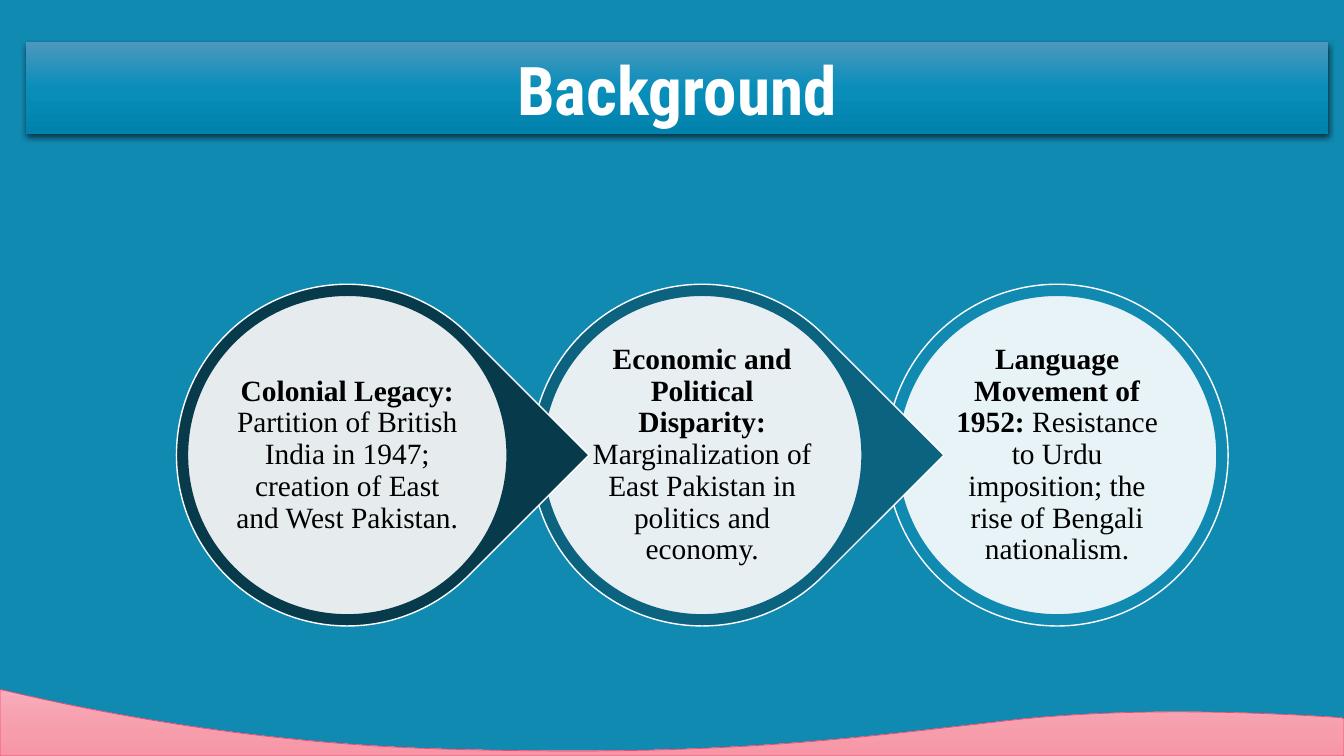
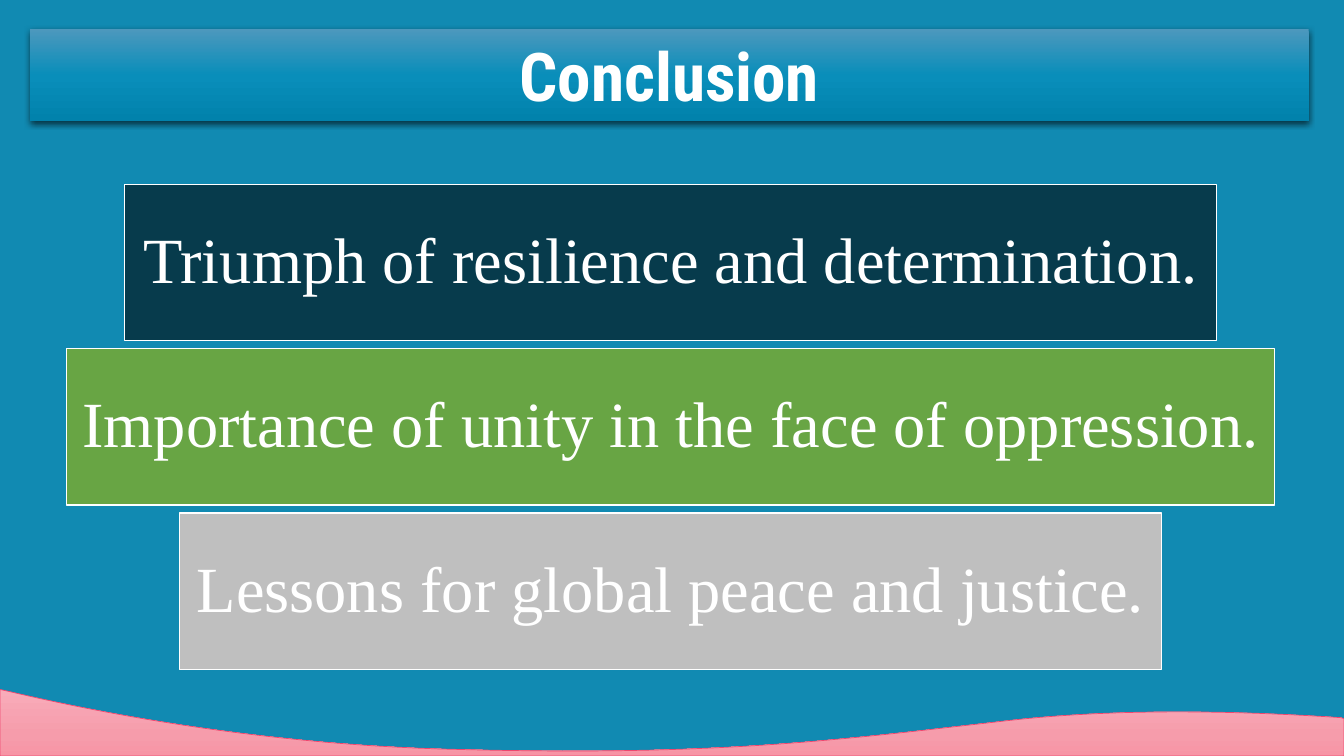
"""Build the Background and Conclusion slides."""
from copy import deepcopy

from pptx import Presentation
from pptx.dml.color import RGBColor
from pptx.enum.shapes import MSO_SHAPE as SHAPE
from pptx.enum.text import MSO_ANCHOR as ANCHOR, MSO_AUTO_SIZE as AUTO, PP_ALIGN as ALIGN
from pptx.oxml import parse_xml
from pptx.oxml.ns import nsdecls, qn
from pptx.util import Inches, Pt

BLUE, NAVY, TEAL, GREEN = "118AB2", "073B4C", "0C637F", "68A544"
GREY, WHITE, BLACK, PINK = "BFBFBF", "FFFFFF", "000000", "EF476F"
BAND = ["4C98BD", "098EBA", "0182AC"]
WAVE = ["F8ABB9", "F69CAB", "F794A5"]
TITLE_FONT = {"name": "Roboto Condensed", "size": Pt(48), "bold": True}
CIRCLE_FONT = {"name": "Times New Roman", "size": Pt(21)}
BAR_FONT = {"name": "Times New Roman", "size": Pt(46), "bold": False}
FRAME = {"word_wrap": True, "auto_size": AUTO.NONE, "vertical_anchor": ANCHOR.MIDDLE}
PARA = {"alignment": ALIGN.CENTER, "line_spacing": 0.9}
SHADOW = (
    f'<a:effectLst {nsdecls("a")}><a:outerShdw blurRad="57150" dist="19050" '
    'dir="5400000" algn="ctr" rotWithShape="0"><a:srgbClr val="000000">'
    '<a:alpha val="63000"/></a:srgbClr></a:outerShdw></a:effectLst>'
)


def rgb(code):
    return RGBColor.from_string(code)


def gradient(sp, colors, positions):
    sp.fill.gradient()
    stops = sp._element.spPr.find(qn("a:gradFill")).gsLst
    stops.append(deepcopy(stops[0]))
    for stop, color, position in zip(sp.fill.gradient_stops, colors, positions):
        stop.color.rgb = rgb(color)
        stop.position = position
    sp.fill.gradient_angle = 270


prs = Presentation()
prs.slide_width, prs.slide_height = Inches(13.33), Inches(7.5)
bg = prs.slide_master.background.fill
bg.solid()
bg.fore_color.rgb = rgb(BLUE)

curves = [
    [(13.3, 7.12), (12.69, 7.08), (11.29, 7), (9.99, 7.15)],
    [(9.99, 7.15), (8.25, 7.35), (7.06, 7.51), (4.34, 7.43)],
    [(4.34, 7.43), (2.47, 7.37), (0.89, 7.05), (0.09, 6.86)],
]
outline = [(0, 7.5), (13.33, 7.5), (13.33, 7.13)]
for curve in curves:
    for t in [i / 24 for i in range(25)]:
        weights = ((1 - t) ** 3, 3 * t * (1 - t) ** 2, 3 * t**2 * (1 - t), t**3)
        outline.append([sum(w * c for w, c in zip(weights, axis)) for axis in zip(*curve)])

slides = []
for title, left, top, width in [
    ("Background", 0.26, 0.42, 12.91),
    ("Conclusion", 0.3, 0.29, 12.68),
]:
    s = prs.slides.add_slide(prs.slide_layouts[5])
    slides.append(s)
    sp = s.shapes.title
    sp.left, sp.top, sp.width, sp.height = map(Inches, (left, top, width, 0.91))
    gradient(sp, BAND, (0, 0.5, 1))
    sp._element.spPr.append(parse_xml(SHADOW))
    tf = sp.text_frame
    for key, value in FRAME.items():
        setattr(tf, key, value)
    p = tf.paragraphs[0]
    p.alignment = ALIGN.CENTER
    r = p.add_run()
    r.text = title
    r.font.color.rgb = rgb(WHITE)
    for key, value in TITLE_FONT.items():
        setattr(r.font, key, value)

    builder = s.shapes.build_freeform(0, Inches(6.84))
    builder.add_line_segments([(Inches(x), Inches(y)) for x, y in outline], close=True)
    wave = builder.convert_to_shape()
    wave.shadow.inherit = False
    gradient(wave, WAVE, (0, 0.7, 1))
    wave.line.color.rgb = rgb(PINK)
    wave.line.width = Pt(0.5)

background, conclusion = slides

steps = [
    ("Colonial Legacy: ", "Partition of British India in 1947; creation of East and West Pakistan.",
     SHAPE.TEAR, NAVY),
    ("Economic and Political Disparity: ",
     "Marginalization of East Pakistan in politics and economy.", SHAPE.TEAR, TEAL),
    ("Language Movement of 1952: ",
     "Resistance to Urdu imposition; the rise of Bengali nationalism.", SHAPE.OVAL, BLUE),
]
for i, (head, body, kind, color) in reversed(list(enumerate(steps))):
    left = 1.75 + 3.52 * i
    drop = background.shapes.add_shape(
        kind, Inches(left), Inches(2.82), Inches(3.39), Inches(3.39))
    disc = background.shapes.add_shape(
        SHAPE.OVAL, Inches(left + 0.11), Inches(2.93), Inches(3.17), Inches(3.17))
    if kind == SHAPE.TEAR:
        drop.rotation = 45
    for sp, fill, line in [(drop, color, WHITE), (disc, WHITE, color)]:
        sp.shadow.inherit = False
        sp.fill.solid()
        sp.fill.fore_color.rgb = rgb(fill)
        sp.line.color.rgb = rgb(line)
        sp.line.width = Pt(1)
    tint = disc._element.spPr.find(qn("a:solidFill"))[0]
    tint.append(parse_xml(f'<a:alpha {nsdecls("a")} val="90000"/>'))
    tf = disc.text_frame
    tf.margin_left = tf.margin_right = tf.margin_top = tf.margin_bottom = Inches(0.02)
    for key, value in FRAME.items():
        setattr(tf, key, value)
    p = tf.paragraphs[0]
    for key, value in PARA.items():
        setattr(p, key, value)
    for text, bold in [(head, True), (body, False)]:
        r = p.add_run()
        r.text = text
        r.font.bold = bold
        r.font.color.rgb = rgb(BLACK)
        for key, value in CIRCLE_FONT.items():
            setattr(r.font, key, value)

bars = [
    ("Triumph of resilience and determination.", 10.83, NAVY),
    ("Importance of unity in the face of oppression.", 11.98, GREEN),
    ("Lessons for global peace and justice.", 9.74, GREY),
]
for i, (text, width, color) in enumerate(bars):
    bar = conclusion.shapes.add_shape(
        SHAPE.RECTANGLE, Inches(6.65 - width / 2), Inches(1.83 + 1.63 * i),
        Inches(width), Inches(1.55))
    bar.shadow.inherit = False
    bar.fill.solid()
    bar.fill.fore_color.rgb = rgb(color)
    bar.line.color.rgb = rgb(WHITE)
    bar.line.width = Pt(1)
    tf = bar.text_frame
    tf.margin_left = tf.margin_right = tf.margin_top = tf.margin_bottom = Inches(0.13)
    for key, value in FRAME.items():
        setattr(tf, key, value)
    p = tf.paragraphs[0]
    for key, value in PARA.items():
        setattr(p, key, value)
    r = p.add_run()
    r.text = text
    r.font.color.rgb = rgb(WHITE)
    for key, value in BAR_FONT.items():
        setattr(r.font, key, value)

prs.save("out.pptx")
